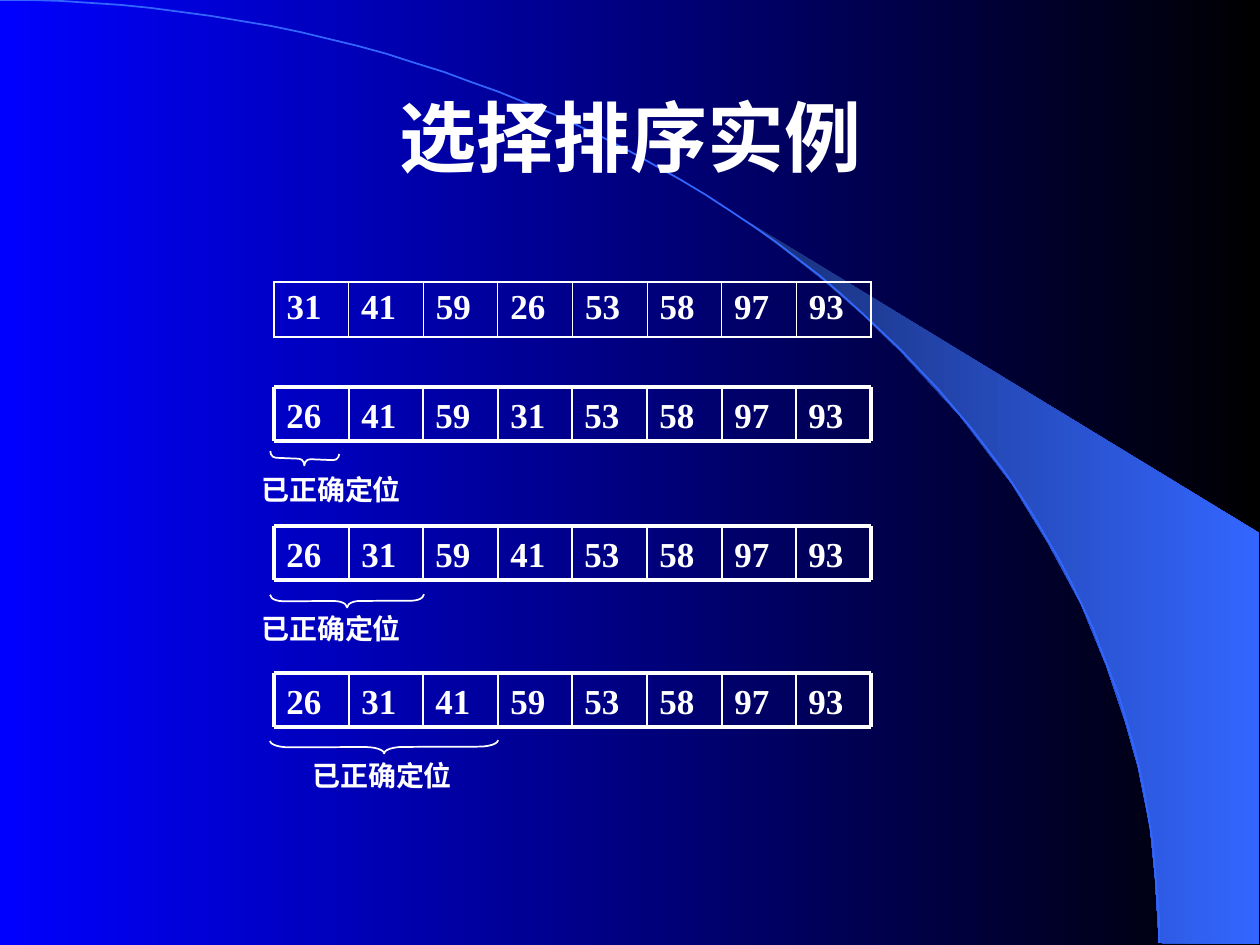
import math

from lxml import etree
from pptx import Presentation
from pptx import util as u
from pptx.dml.color import RGBColor
from pptx.enum import shapes, text
from pptx.oxml import ns

SCALE = 914400 / 126
WHITE = "FFFFFF"
NOTE = "已正确定位"
CELLS = 8
START = [31, 41, 59, 26, 53, 58, 97, 93]
# row top, values, brace length, brace centre below top, tilt, note left
STEPS = [
    (387, [26, 41, 59, 31, 53, 58, 97, 93], 69, 72, 92.4, -25),
    (526, [26, 31, 59, 41, 53, 58, 97, 93], 154, 75, 89.8, -25),
    (673, [26, 31, 41, 59, 53, 58, 97, 93], 228, 74, 89.8, 26),
]
WEDGE = [
    (1159, 943), (1259, 944), (1259, 533), (742, 218), (786, 251),
    (823, 280), (863, 315), (902, 353), (960, 416), (1012, 484),
    (1048, 543), (1081, 604), (1106, 665), (1125, 721), (1138, 767),
    (1150, 827), (1155, 877),
]


def emu(*px):
    return [u.Emu(round(n * SCALE)) for n in px]


def rgb(code):
    return RGBColor.from_string(code)


def blend(fill, *codes):
    """Fill with a left-to-right gradient."""
    fill.gradient()
    fill.gradient_angle = 0
    for i, (stop, code) in enumerate(zip(fill.gradient_stops, codes)):
        stop.position = i
        stop.color.rgb = rgb(code)


def stroke(shape, code, width):
    shape.line.color.rgb = rgb(code)
    shape.line.width = u.Pt(width)


def write(frame, words, size, face, before=0):
    para = frame.paragraphs[0]
    para.text = str(words)
    para.space_before = u.Pt(before)
    font = para.font
    font.size, font.name, font.bold = u.Pt(size), face, True
    font.color.rgb = rgb(WHITE)
    return para


def label(parts, box, words, size, face, before):
    frame = parts.add_textbox(*emu(*box)).text_frame
    frame.word_wrap = True
    write(frame, words, size, face, before)


def rule(parts, x1, y1, x2, y2, width):
    line = parts.add_connector(shapes.MSO_CONNECTOR.STRAIGHT,
                               *emu(x1, y1, x2, y2))
    stroke(line, WHITE, width)
    etree.SubElement(line.element.spPr, ns.qn("a:effectLst"))


def outline(parts, points, close):
    pen = parts.build_freeform(*points[0], scale=SCALE)
    pen.add_line_segments(points[1:], close=close)
    shape = pen.convert_to_shape()
    shape.shadow.inherit = False
    return shape


def decor(slide, box):
    x, y, w, h = box
    group = slide.shapes.add_group_shape()
    wedge = outline(group.shapes, [(x + a, y + b) for a, b in WEDGE], True)
    blend(wedge.fill, "182F76", "3366FF")
    wedge.line.fill.background()
    turns = [math.pi / 2 * i / 60 for i in range(61)]
    curve = outline(group.shapes,
                    [(x + w * math.sin(t), y + h - h * math.cos(t))
                     for t in turns], False)
    curve.fill.background()
    stroke(curve, "3366FF", 1)
    slide.shapes.title.element.addprevious(group.element)


def heading(slide, box):
    title = slide.shapes.title
    title.left, title.top, title.width, title.height = emu(*box)
    frame = title.text_frame
    frame.auto_size = text.MSO_AUTO_SIZE.NONE
    frame.vertical_anchor = text.MSO_ANCHOR.MIDDLE
    para = write(frame, "选择排序实例", 44, "Arial")
    para.alignment = text.PP_ALIGN.CENTER


def border(cell, **widths):
    props = cell._tc.get_or_add_tcPr()
    for i, (side, width) in enumerate(widths.items()):
        line = etree.Element(ns.qn("a:" + side), w=str(u.Pt(width)))
        solid = etree.SubElement(line, ns.qn("a:solidFill"))
        etree.SubElement(solid, ns.qn("a:srgbClr"), val=WHITE)
        props.insert(i, line)


def grid(slide, box, values):
    table = slide.shapes.add_table(1, CELLS, *emu(*box)).table
    table.first_row = table.horz_banding = False
    for i, value in enumerate(values):
        cell = table.cell(0, i)
        cell.fill.background()
        write(cell.text_frame, value, 20, "Times New Roman", 5)
        border(cell, lnL=1.08 if i == 0 else 0.45,
               lnR=1.08 if i == CELLS - 1 else 0.45, lnT=1.08, lnB=1.08)


def brace(parts, mid, centre, length, tilt):
    thick = 13
    shape = parts.add_shape(
        shapes.MSO_SHAPE.RIGHT_BRACE,
        *emu(mid - thick / 2, centre - length / 2, thick, length))
    shape.rotation = tilt
    shape.adjustments[0] = length / 12 / thick
    shape.shadow.inherit = False
    shape.fill.background()
    stroke(shape, WHITE, 1)


def step(slide, box, values, length, drop, tilt, shift):
    """One sorting pass: cells, brace and note."""
    x, y, w, h = box
    parts = slide.shapes.add_group_shape().shapes
    edges = [x + round(i * w / CELLS) for i in range(CELLS + 1)]
    for left, right, value in zip(edges, edges[1:], values):
        label(parts, (left, y, right - left, h), value,
              20, "Times New Roman", 5)
    for level in (y, y + h):
        rule(parts, x, level, x + w, level, 2.25)
    for edge in edges:
        rule(parts, edge, y, edge, y + h,
             2.25 if edge in (x, x + w) else 1)
    brace(parts, x - 4 + length / 2, y + drop, length, tilt)
    label(parts, (x + shift, y + 79, 193, 47), NOTE, 16, "Arial", 10)


def main():
    deck = Presentation()
    deck.slide_width, deck.slide_height = emu(1260, 945)
    slide = deck.slides.add_slide(deck.slide_layouts[5])
    blend(slide.background.fill, "0000FF", "000000")
    decor(slide, (0, 0, 1159, 943))
    heading(slide, (95, 71, 1071, 130))
    grid(slide, (274, 282, 597, 55), START)
    for top, *rest in STEPS:
        step(slide, (274, top, 597, 54), *rest)
    deck.save("out.pptx")


if __name__ == "__main__":
    main()
